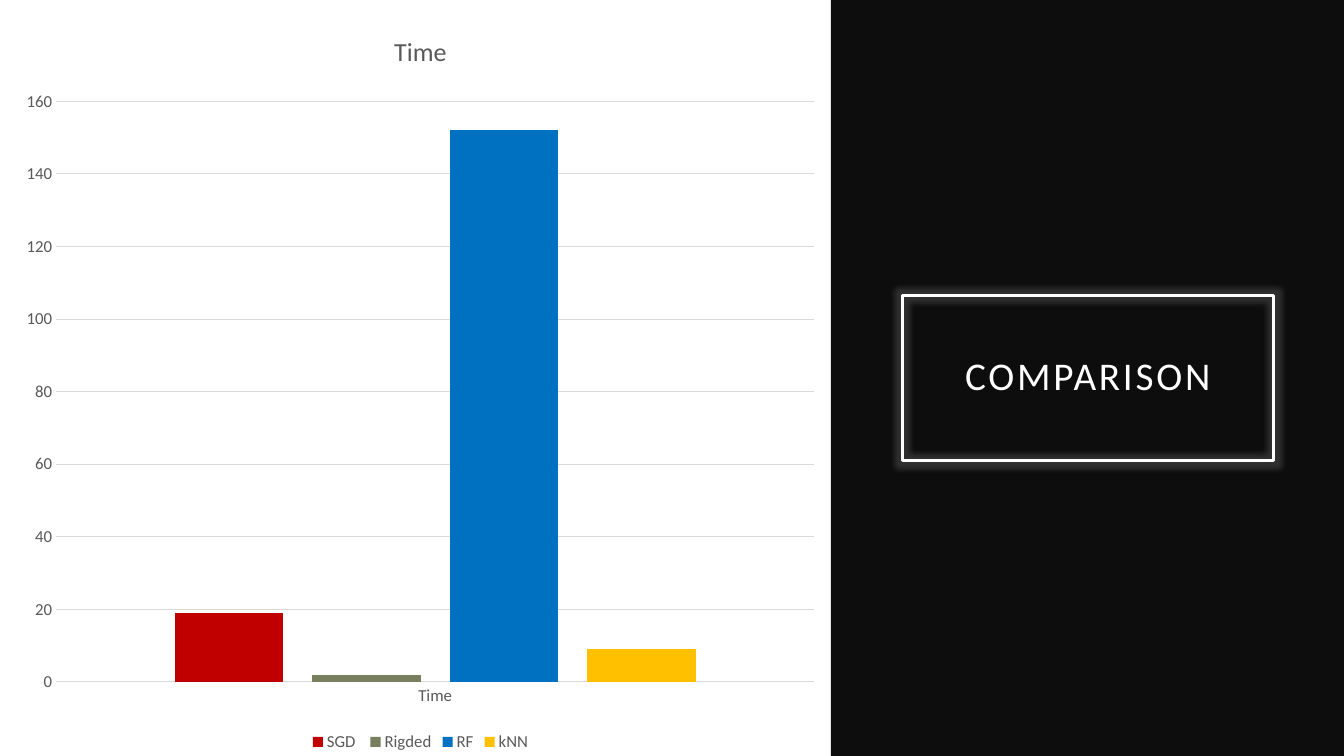
import pptx
import pptx.chart.data
import pptx.dml.color
import pptx.enum.chart
import pptx.enum.shapes
import pptx.enum.text
import pptx.oxml
import pptx.util

HEADING = "COMPARISON"
CHART_TITLE = "Time"
CATEGORIES = ["Time"]
SERIES = [
    ("SGD ", [19], "C00000"),
    ("Rigded", [2], "777F5E"),
    ("RF", [152], "0070C0"),
    ("kNN", [9], "FFC000"),
]

FONT = "Calibri"
WHITE, PANEL, GREY, RULE = "FFFFFF", "0D0D0D", "595959", "D9D9D9"
WIDTH, HEIGHT = 13.33, 7.5
PANEL_LEFT = 8.24
CHART_LEFT, CHART_TOP = 0.1, 0.08
FRAME_LEFT, FRAME_WIDTH, FRAME_HEIGHT = 8.95, 3.68, 1.64

GLOW = (
    '<a:effectLst xmlns:a="http://schemas.openxmlformats.org/drawingml/2006/main">'
    '<a:glow rad="101600"><a:srgbClr val="FFFFFF"><a:alpha val="14000"/>'
    '</a:srgbClr></a:glow></a:effectLst>'
)


def rgb(value):
    return pptx.dml.color.RGBColor.from_string(value)


def box(left, top, width, height):
    return [pptx.util.Inches(n) for n in (left, top, width, height)]


def style_font(font, size, color):
    font.name = FONT
    font.size = pptx.util.Pt(size)
    font.bold = False
    font.color.rgb = rgb(color)


def style_line(line, color, width):
    line.color.rgb = rgb(color)
    line.width = pptx.util.Pt(width)


def add_panel(slide):
    panel = slide.shapes.add_shape(
        pptx.enum.shapes.MSO_SHAPE.RECTANGLE,
        *box(PANEL_LEFT, 0, WIDTH - PANEL_LEFT, HEIGHT))
    panel.shadow.inherit = False
    panel.fill.solid()
    panel.fill.fore_color.rgb = rgb(PANEL)
    panel.line.fill.background()
    slide.shapes.title._element.addprevious(panel._element)


def format_heading(heading):
    """Turn the title placeholder into a glowing framed heading."""
    heading.left, heading.top, heading.width, heading.height = box(
        FRAME_LEFT, (HEIGHT - FRAME_HEIGHT) / 2, FRAME_WIDTH, FRAME_HEIGHT)
    style_line(heading.line, WHITE, 2.5)
    heading._element.spPr.append(pptx.oxml.parse_xml(GLOW))

    frame = heading.text_frame
    frame.text = HEADING
    frame.word_wrap = True
    frame.auto_size = pptx.enum.text.MSO_AUTO_SIZE.NONE
    frame.vertical_anchor = pptx.enum.text.MSO_ANCHOR.MIDDLE
    inset = pptx.util.Inches(0.2)
    frame.margin_left = frame.margin_right = inset
    frame.margin_top = frame.margin_bottom = inset
    paragraph = frame.paragraphs[0]
    paragraph.alignment = pptx.enum.text.PP_ALIGN.CENTER
    paragraph.line_spacing = 0.9
    style_font(paragraph.font, 28, WHITE)
    paragraph.runs[0].font._element.set("spc", "200")


def add_time_chart(slide):
    data = pptx.chart.data.CategoryChartData()
    data.categories = CATEGORIES
    for name, values, _ in SERIES:
        data.add_series(name, values)
    chart = slide.shapes.add_chart(
        pptx.enum.chart.XL_CHART_TYPE.COLUMN_CLUSTERED,
        *box(CHART_LEFT, CHART_TOP, PANEL_LEFT - CHART_LEFT, HEIGHT - CHART_TOP),
        data).chart
    style_font(chart.font, 12, GREY)

    chart.has_title = True
    chart.chart_title.text_frame.text = CHART_TITLE
    style_font(chart.chart_title.text_frame.paragraphs[0].font, 18.6, GREY)
    chart.chart_title.include_in_layout = False

    chart.has_legend = True
    chart.legend.position = pptx.enum.chart.XL_LEGEND_POSITION.BOTTOM
    chart.legend.include_in_layout = False
    style_font(chart.legend.font, 12, GREY)

    for axis in (chart.category_axis, chart.value_axis):
        axis.major_tick_mark = axis.minor_tick_mark = pptx.enum.chart.XL_TICK_MARK.NONE
        style_font(axis.tick_labels.font, 12, GREY)
    style_line(chart.category_axis.format.line, RULE, 0.75)
    chart.value_axis.format.line.fill.background()
    style_line(chart.value_axis.major_gridlines.format.line, RULE, 0.75)
    chart.value_axis.minimum_scale = 0
    chart.value_axis.maximum_scale = 160
    chart.value_axis.major_unit = 20

    plot = chart.plots[0]
    plot.vary_by_categories = False
    plot.gap_width = 219
    plot.overlap = -27
    for series, (_, _, color) in zip(plot.series, SERIES):
        series.format.fill.solid()
        series.format.fill.fore_color.rgb = rgb(color)


def main():
    deck = pptx.Presentation()
    deck.slide_width = pptx.util.Inches(WIDTH)
    deck.slide_height = pptx.util.Inches(HEIGHT)
    slide = deck.slides.add_slide(deck.slide_layouts.get_by_name("Title Only"))
    add_panel(slide)
    format_heading(slide.shapes.title)
    add_time_chart(slide)
    deck.save("out.pptx")


if __name__ == "__main__":
    main()
